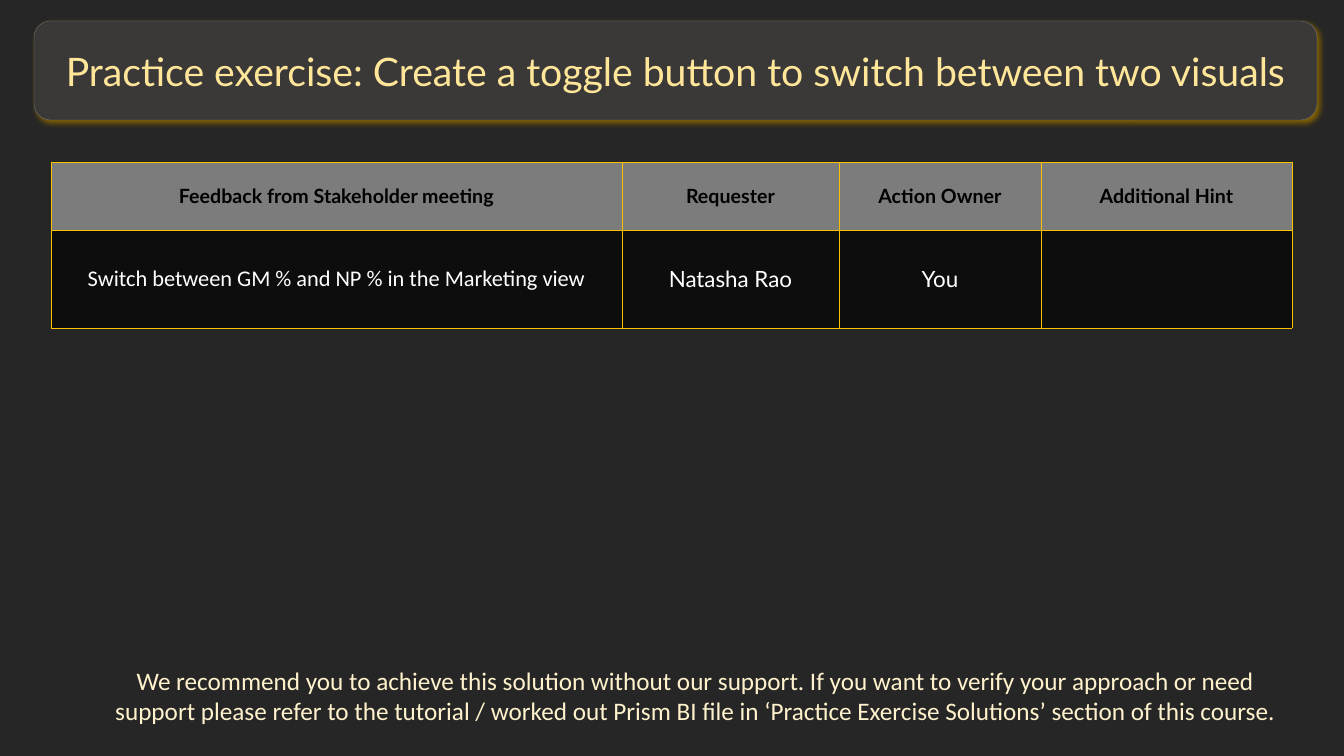
from dataclasses import dataclass

from lxml import etree
from pptx import Presentation
from pptx.dml.color import RGBColor
from pptx.enum.shapes import MSO_SHAPE
from pptx.enum.text import MSO_ANCHOR, MSO_AUTO_SIZE, PP_ALIGN
from pptx.oxml.ns import qn
from pptx.util import Pt

ROUNDED = MSO_SHAPE.ROUNDED_RECTANGLE
MIDDLE = MSO_ANCHOR.MIDDLE
TOP = MSO_ANCHOR.TOP
CENTER = PP_ALIGN.CENTER
GROW = MSO_AUTO_SIZE.SHAPE_TO_FIT_TEXT
EMU_PER_PIXEL = 914400 / 100.8
EMU_PER_POINT = 12700


@dataclass(frozen=True)
class TextStyle:
    font: str
    size: int
    color: str
    bold: bool = False


class Theme:
    background = "262626"
    banner_fill = "3B3838"
    banner_line = "767171"
    banner_shadow = "806000"
    border = "FFC000"
    header_fill = "7C7C7C"
    body_fill = "0D0D0D"
    title = TextStyle("Lato", 28, "FFE699")
    header = TextStyle("Lato", 14, "000000", True)
    request = TextStyle("Calibri", 16, "FFFFFF")
    person = TextStyle("Lato", 16, "FFFFFF")
    note = TextStyle("Calibri", 18, "FFF2CC")


def px(length):
    return round(length * EMU_PER_PIXEL)


class SlideBuilder:
    def __init__(self, deck, theme):
        self.theme = theme
        self.slide = deck.slides.add_slide(deck.slide_layouts[6])
        self.paint(self.slide.background.fill, theme.background)

    def paint(self, fill, color):
        fill.solid()
        fill.fore_color.rgb = RGBColor.from_string(color)

    def set_text(self, frame, text, style):
        para = frame.paragraphs[0]
        para.text = text
        para.alignment = CENTER
        para.font.name = style.font
        para.font.size = Pt(style.size)
        para.font.bold = style.bold
        para.font.color.rgb = RGBColor.from_string(style.color)

    def banner(self, left, top, width, height, text):
        box = self.slide.shapes.add_shape(ROUNDED, px(left), px(top), px(width), px(height))
        self.paint(box.fill, self.theme.banner_fill)
        box.line.color.rgb = RGBColor.from_string(self.theme.banner_line)
        box.line.width = Pt(0.25)
        box.shadow.inherit = False
        effects = box._element.spPr.find(qn("a:effectLst"))
        shadow = etree.SubElement(
            effects, qn("a:outerShdw"), blurRad=str(4 * EMU_PER_POINT),
            dist=str(2 * EMU_PER_POINT), dir=str(51 * 60000), algn="ctr", rotWithShape="0")
        etree.SubElement(shadow, qn("a:srgbClr"), val=self.theme.banner_shadow)
        box.text_frame.word_wrap = True
        box.text_frame.vertical_anchor = MIDDLE
        self.set_text(box.text_frame, text, self.theme.title)

    def note(self, left, top, width, height, text):
        box = self.slide.shapes.add_textbox(px(left), px(top), px(width), px(height))
        box.text_frame.word_wrap = True
        box.text_frame.auto_size = GROW
        box.text_frame.vertical_anchor = TOP
        self.set_text(box.text_frame, text, self.theme.note)

    def border(self, cell):
        properties = cell._tc.get_or_add_tcPr()
        for position, side in enumerate(("a:lnL", "a:lnR", "a:lnT", "a:lnB")):
            line = etree.Element(qn(side), w=str(EMU_PER_POINT // 2))
            fill = etree.SubElement(line, qn("a:solidFill"))
            etree.SubElement(fill, qn("a:srgbClr"), val=self.theme.border)
            properties.insert(position, line)

    def table(self, left, top, widths, heights, rows, fills, styles):
        frame = self.slide.shapes.add_table(
            len(heights), len(widths), px(left), px(top), px(sum(widths)), px(sum(heights)))
        table = frame.table
        table.first_row = False
        table.horz_banding = False
        for column, width in zip(table.columns, widths):
            column.width = px(width)
        for row, height in zip(table.rows, heights):
            row.height = px(height)
        for row, texts, fill, row_styles in zip(table.rows, rows, fills, styles):
            for cell, text, style in zip(row.cells, texts, row_styles):
                self.paint(cell.fill, fill)
                self.border(cell)
                cell.vertical_anchor = MIDDLE
                cell.margin_left = cell.margin_right = px(3)
                cell.margin_top = cell.margin_bottom = px(2)
                self.set_text(cell.text_frame, text, style)


deck = Presentation()
deck.slide_width = px(1344)
deck.slide_height = px(756)
theme = Theme()
page = SlideBuilder(deck, theme)

page.table(
    51, 162, [571, 217, 202, 251], [68, 98],
    [
        ["Feedback from Stakeholder meeting", "Requester", "Action Owner", "Additional Hint"],
        ["Switch between GM % and NP % in the Marketing view", "Natasha Rao", "You", ""],
    ],
    [theme.header_fill, theme.body_fill],
    [[theme.header] * 4, [theme.request] + [theme.person] * 3],
)
page.banner(
    34, 21, 1283, 99,
    "Practice exercise: Create a toggle button to switch between two visuals",
)
page.note(
    66, 660, 1259, 102,
    "We recommend you to achieve this solution without our support. "
    "If you want to verify your approach or need support\u00a0please refer to the tutorial / "
    "worked out Prism BI file in ‘Practice Exercise Solutions’ section of this course.",
)

deck.save("out.pptx")
